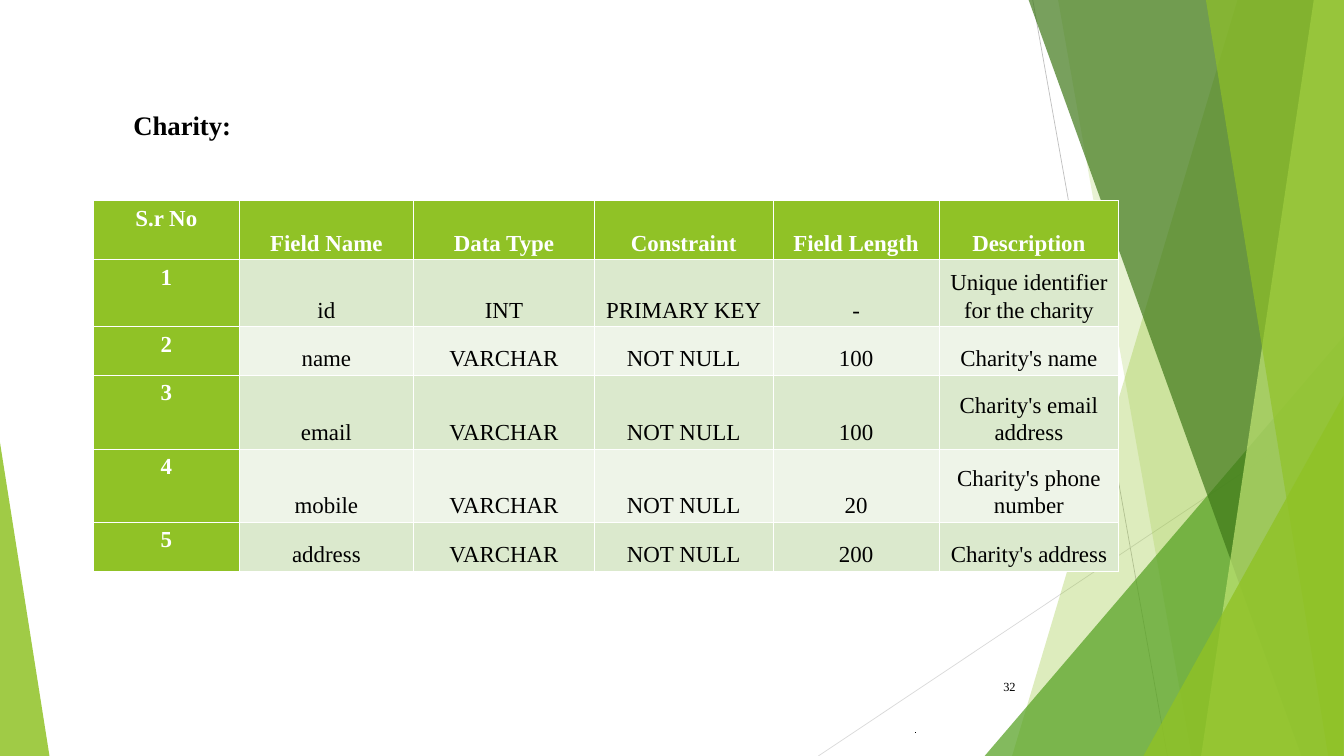
"""Build the Charity table slide on a green faceted background."""
from dataclasses import dataclass
from typing import Union

from pptx import Presentation
from pptx import util as u
from pptx.dml.color import RGBColor
from pptx.enum import shapes, text
from pptx.oxml import parse_xml
from pptx.oxml.ns import nsdecls
from pptx.oxml.xmlchemy import OxmlElement

WIDTH, HEIGHT = 19.56, 11
FONT = "Times New Roman"
GREEN, WHITE, BLACK = "90C226", "FFFFFF", "000000"
BANDS = ("DBE9CD", "EEF4E8")
THIN, THICK = 0.45, 1.47


@dataclass
class Band:
    color: str
    alpha: int
    corners: tuple[tuple[float, float], ...]


@dataclass
class Wedge:
    color: str
    alpha: int
    left: float
    top: float
    width: float
    apex: int


@dataclass
class Rule:
    start: tuple[float, float]
    end: tuple[float, float]
    color: str
    weight: float


@dataclass
class Label:
    words: str
    frame: tuple[float, float, float, float]
    size: float
    bold: bool
    align: text.PP_ALIGN
    anchor: text.MSO_ANCHOR
    margins: tuple[float, float]


def right_band(color: str, alpha: int, top_left: float, bottom_left: float) -> Band:
    """Describe a band that reaches the right edge of the slide."""
    return Band(color, alpha, ((top_left, 0), (WIDTH, 0), (WIDTH, HEIGHT), (bottom_left, HEIGHT)))


RULES = [
    Rule((15.03, 0), (16.99, 11), "BFBFBF", 0.75),
    Rule((19.55, 5.9), (11.91, 11), "D9D9D9", 0.75),
]
FACETS = [
    right_band(GREEN, 30, 18.01, 14.73),
    right_band(GREEN, 20, 15.4, 17.34),
    Wedge("54A021", 72, 14.33, 4.89, 5.23, 1),
    right_band("3F7819", 70, 14.97, 18.94),
    right_band("C0E474", 70, 19.12, 17.48),
    right_band(GREEN, 65, 17.55, 19.33),
    Wedge(GREEN, 80, 16.64, 5.76, 2.91, 1),
    Wedge(GREEN, 85, 0, 6.44, 0.72, 0),
]
DOT = Rule((13.32, 10.66), (13.33, 10.66), BLACK, 1.05)
LABELS = [
    Label("Charity:", (1.94, 1.58, 2.76, 0.47), 28, True,
          text.PP_ALIGN.LEFT, text.MSO_ANCHOR.TOP, (0, 0)),
    Label("32", (13.78, 9.69, 1.1, 0.59), 13, False,
          text.PP_ALIGN.RIGHT, text.MSO_ANCHOR.MIDDLE, (0.1, 0.05)),
]
COLUMNS = (2.12, 2.54, 2.63, 2.6, 2.42, 2.61)
ROWS = (0.86, 0.97, 0.71, 1.07, 1.07, 0.71)
FIELDS = [
    ("S.r No", "Field Name", "Data Type", "Constraint", "Field Length", "Description"),
    ("1", "id", "INT", "PRIMARY KEY", "-", "Unique identifier for the charity"),
    ("2", "name", "VARCHAR", "NOT NULL", "100", "Charity's name"),
    ("3", "email", "VARCHAR", "NOT NULL", "100", "Charity's email address"),
    ("4", "mobile", "VARCHAR", "NOT NULL", "20", "Charity's phone number"),
    ("5", "address", "VARCHAR", "NOT NULL", "200", "Charity's address"),
]


def paint(fill, color: str) -> None:
    """Apply a solid hex colour to a fill."""
    fill.solid()
    fill.fore_color.rgb = RGBColor.from_string(color)


def draw_rule(page, rule: Rule) -> None:
    """Draw a straight line without a shadow."""
    ends = [u.Inches(value) for value in (*rule.start, *rule.end)]
    line = page.shapes.add_connector(shapes.MSO_CONNECTOR.STRAIGHT, *ends)
    paint(line.line.fill, rule.color)
    line.line.width = u.Pt(rule.weight)
    line._element.spPr.append(OxmlElement("a:effectLst"))


def draw_facet(page, facet: Union[Band, Wedge]) -> None:
    """Draw a translucent band or wedge of the background."""
    if isinstance(facet, Band):
        points = [(u.Inches(x), u.Inches(y)) for x, y in facet.corners]
        builder = page.shapes.build_freeform(*points[0])
        builder.add_line_segments(points[1:], close=True)
        shape = builder.convert_to_shape()
    else:
        shape = page.shapes.add_shape(
            shapes.MSO_SHAPE.ISOSCELES_TRIANGLE, u.Inches(facet.left), u.Inches(facet.top),
            u.Inches(facet.width), u.Inches(HEIGHT - facet.top))
        shape.adjustments[0] = facet.apex
    shape.shadow.inherit = False
    shape.line.fill.background()
    paint(shape.fill, facet.color)
    alpha = OxmlElement("a:alpha")
    alpha.set("val", str(facet.alpha * 1000))
    shape._element.spPr.find(".//{*}srgbClr").append(alpha)


def write(para, words: str, size: float, color: str, bold: bool) -> None:
    """Add one formatted run to a paragraph."""
    span = para.add_run()
    span.text = words
    span.font.name = FONT
    span.font.size = u.Pt(size)
    span.font.bold = bold
    paint(span.font.fill, color)


def draw_label(page, label: Label) -> None:
    """Draw a single-paragraph text box."""
    box = page.shapes.add_textbox(*(u.Inches(value) for value in label.frame))
    frame = box.text_frame
    frame.word_wrap = True
    frame.vertical_anchor = label.anchor
    frame.margin_left = frame.margin_right = u.Inches(label.margins[0])
    frame.margin_top = frame.margin_bottom = u.Inches(label.margins[1])
    para = frame.paragraphs[0]
    para.alignment = label.align
    write(para, label.words, label.size, BLACK, label.bold)


def add_borders(cell, row: int) -> None:
    """Give a cell white borders, thicker below the header."""
    weights = {"L": THIN, "R": THIN, "T": THICK if row == 1 else THIN,
               "B": THICK if row == 0 else THIN}
    for side, weight in weights.items():
        cell._tc.get_or_add_tcPr().append(parse_xml(
            f'<a:ln{side} {nsdecls("a")} w="{u.Pt(weight)}"><a:solidFill>'
            f'<a:srgbClr val="{WHITE}"/></a:solidFill></a:ln{side}>'))


def draw_cell(cell, words: str, row: int, column: int) -> None:
    """Style and fill one table cell."""
    heading = row == 0 or column == 0
    add_borders(cell, row)
    paint(cell.fill, GREEN if heading else BANDS[(row - 1) % 2])
    cell.margin_left = cell.margin_right = u.Inches(0.08)
    cell.margin_top = cell.margin_bottom = u.Inches(0.05)
    cell.vertical_anchor = text.MSO_ANCHOR.BOTTOM if column else text.MSO_ANCHOR.TOP
    para = cell.text_frame.paragraphs[0]
    para.alignment = text.PP_ALIGN.CENTER
    para.line_spacing = 1.07
    para.space_after = u.Pt(12)
    write(para, words, 24, WHITE if heading else BLACK, heading)


def draw_table(page) -> None:
    """Draw the table of charity fields."""
    table = page.shapes.add_table(
        len(ROWS), len(COLUMNS), u.Inches(1.36), u.Inches(2.92),
        u.Inches(sum(COLUMNS)), u.Inches(sum(ROWS))).table
    table.horz_banding = False
    for column, width in zip(table.columns, COLUMNS):
        column.width = u.Inches(width)
    for row, (height, record) in enumerate(zip(ROWS, FIELDS)):
        table.rows[row].height = u.Inches(height)
        for column, words in enumerate(record):
            draw_cell(table.cell(row, column), words, row, column)


def main() -> None:
    """Assemble and save the deck."""
    deck = Presentation()
    deck.slide_width, deck.slide_height = u.Inches(WIDTH), u.Inches(HEIGHT)
    page = deck.slides.add_slide(deck.slide_layouts[6])
    for rule in RULES:
        draw_rule(page, rule)
    for facet in FACETS:
        draw_facet(page, facet)
    draw_rule(page, DOT)
    for label in LABELS:
        draw_label(page, label)
    draw_table(page)
    deck.save("out.pptx")


if __name__ == "__main__":
    main()
